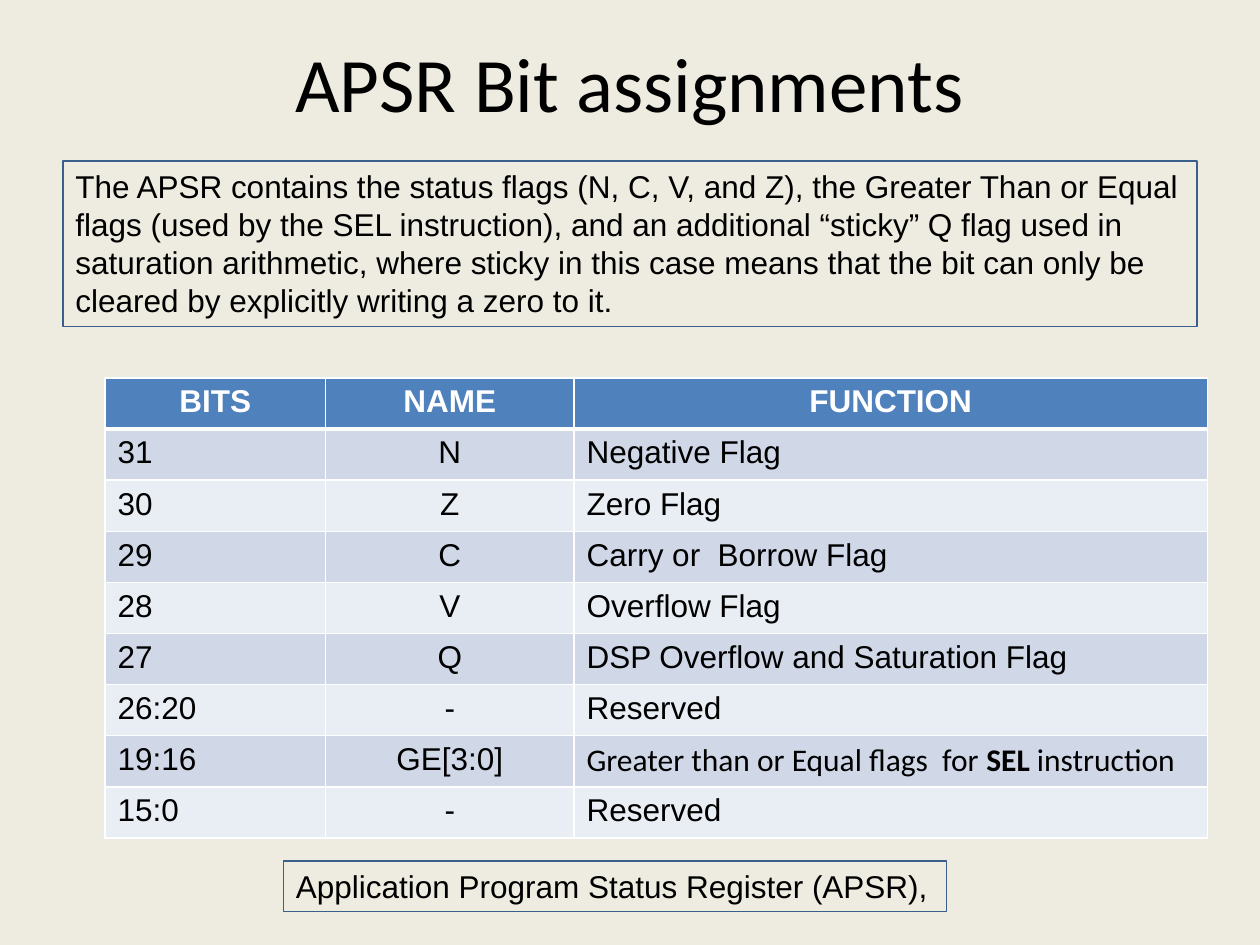
from lxml.etree import SubElement
from pptx import Presentation
from pptx.dml.color import RGBColor
from pptx.enum.shapes import MSO_SHAPE
from pptx.enum.text import MSO_ANCHOR, MSO_AUTO_SIZE, PP_ALIGN
from pptx.oxml.ns import qn
from pptx.util import Pt

BACKGROUND = RGBColor(0xEE, 0xEC, 0xE1)
OUTLINE = RGBColor(0x3A, 0x5F, 0x8C)
HEADER = RGBColor(0x4F, 0x81, 0xBD)
BANDS = RGBColor(0xE9, 0xED, 0xF4), RGBColor(0xD0, 0xD8, 0xE8)
BLACK = RGBColor(0, 0, 0)
WHITE = RGBColor(0xFF, 0xFF, 0xFF)

DESCRIPTION = (
    "The APSR contains the status flags (N, C, V, and Z), the Greater Than or Equal "
    "flags (used by the SEL instruction), and an additional “sticky” Q flag used in "
    "saturation arithmetic, where sticky in this case means that the bit can only be "
    "cleared by explicitly writing a zero to it."
)
SEL_FUNCTION = ("Greater than or Equal flags  for ", "SEL", " instruction")
REGISTER_ROWS = [
    ("BITS", "NAME", "FUNCTION"),
    ("31", "N", "Negative Flag"),
    ("30", "Z", "Zero Flag"),
    ("29", "C", "Carry or  Borrow Flag"),
    ("28", "V", "Overflow Flag"),
    ("27", "Q", "DSP Overflow and Saturation Flag"),
    ("26:20", "-", "Reserved"),
    ("19:16", "GE[3:0]", SEL_FUNCTION),
    ("15:0", "-", "Reserved"),
]


class SlideBuilder:
    body_font = "Arial"
    title_font = "Calibri"
    body_size = 18
    title_size = 44

    def __init__(self, slide):
        self.slide = slide
        slide.background.fill.solid()
        slide.background.fill.fore_color.rgb = BACKGROUND

    def fill_text(self, text_frame, text, font=body_font, size=body_size,
                  color=BLACK, bold=False, align=PP_ALIGN.LEFT):
        paragraph = text_frame.paragraphs[0]
        paragraph.alignment = align
        paragraph.font.name = font
        paragraph.font.size = Pt(size)
        paragraph.font.color.rgb = color
        if isinstance(text, str):
            paragraph.font.bold = bold
            paragraph.add_run().text = text
            return
        for index, part in enumerate(text):
            run = paragraph.add_run()
            run.text = part
            run.font.bold = index % 2 == 1

    def title(self, text, left, top, width, height):
        shape = self.slide.shapes.add_textbox(Pt(left), Pt(top), Pt(width), Pt(height))
        shape.text_frame.word_wrap = True
        self.fill_text(shape.text_frame, text, self.title_font, self.title_size,
                       align=PP_ALIGN.CENTER)

    def outlined_box(self, text, left, top, width, height, wrap=True):
        shape = self.slide.shapes.add_shape(
            MSO_SHAPE.RECTANGLE, Pt(left), Pt(top), Pt(width), Pt(height))
        shape.shadow.inherit = False
        shape.fill.background()
        shape.line.color.rgb = OUTLINE
        shape.line.width = Pt(0.75)
        text_frame = shape.text_frame
        text_frame.word_wrap = wrap
        text_frame.auto_size = MSO_AUTO_SIZE.SHAPE_TO_FIT_TEXT
        text_frame.vertical_anchor = MSO_ANCHOR.TOP
        self.fill_text(text_frame, text)

    def cell_border(self, cell, side, width):
        properties = cell._tc.get_or_add_tcPr()
        line = SubElement(properties, qn(f"a:ln{side}"), w=str(Pt(width)))
        fill = SubElement(line, qn("a:solidFill"))
        SubElement(fill, qn("a:srgbClr"), val=str(WHITE))

    def table(self, rows, left, top, column_widths, row_height):
        table = self.slide.shapes.add_table(
            len(rows), len(column_widths), Pt(left), Pt(top),
            Pt(sum(column_widths)), Pt(row_height * len(rows))).table
        for column, width in zip(table.columns, column_widths):
            column.width = Pt(width)
        for row_index, texts in enumerate(rows):
            table.rows[row_index].height = Pt(row_height)
            is_header = row_index == 0
            for column_index, text in enumerate(texts):
                cell = table.cell(row_index, column_index)
                for side in "LRTB":
                    below_header = (row_index, side) in ((0, "B"), (1, "T"))
                    self.cell_border(cell, side, 3 if below_header else 1)
                cell.fill.solid()
                cell.fill.fore_color.rgb = HEADER if is_header else BANDS[row_index % 2]
                centered = is_header or column_index == 1
                self.fill_text(
                    cell.text_frame, text,
                    font=self.body_font if isinstance(text, str) else self.title_font,
                    color=WHITE if is_header else BLACK, bold=is_header,
                    align=PP_ALIGN.CENTER if centered else PP_ALIGN.LEFT)


def main():
    presentation = Presentation()
    presentation.slide_width = Pt(720)
    presentation.slide_height = Pt(540)
    builder = SlideBuilder(presentation.slides.add_slide(presentation.slide_layouts[6]))
    builder.outlined_box(DESCRIPTION, 36, 92, 648, 94.5)
    builder.table(REGISTER_ROWS, 60, 216, (126, 142, 362), 29.2)
    builder.title("APSR Bit assignments", 36, 16.5, 648, 90)
    builder.outlined_box("Application Program Status Register (APSR),",
                         162, 492, 379, 29, wrap=False)
    presentation.save("out.pptx")


if __name__ == "__main__":
    main()
